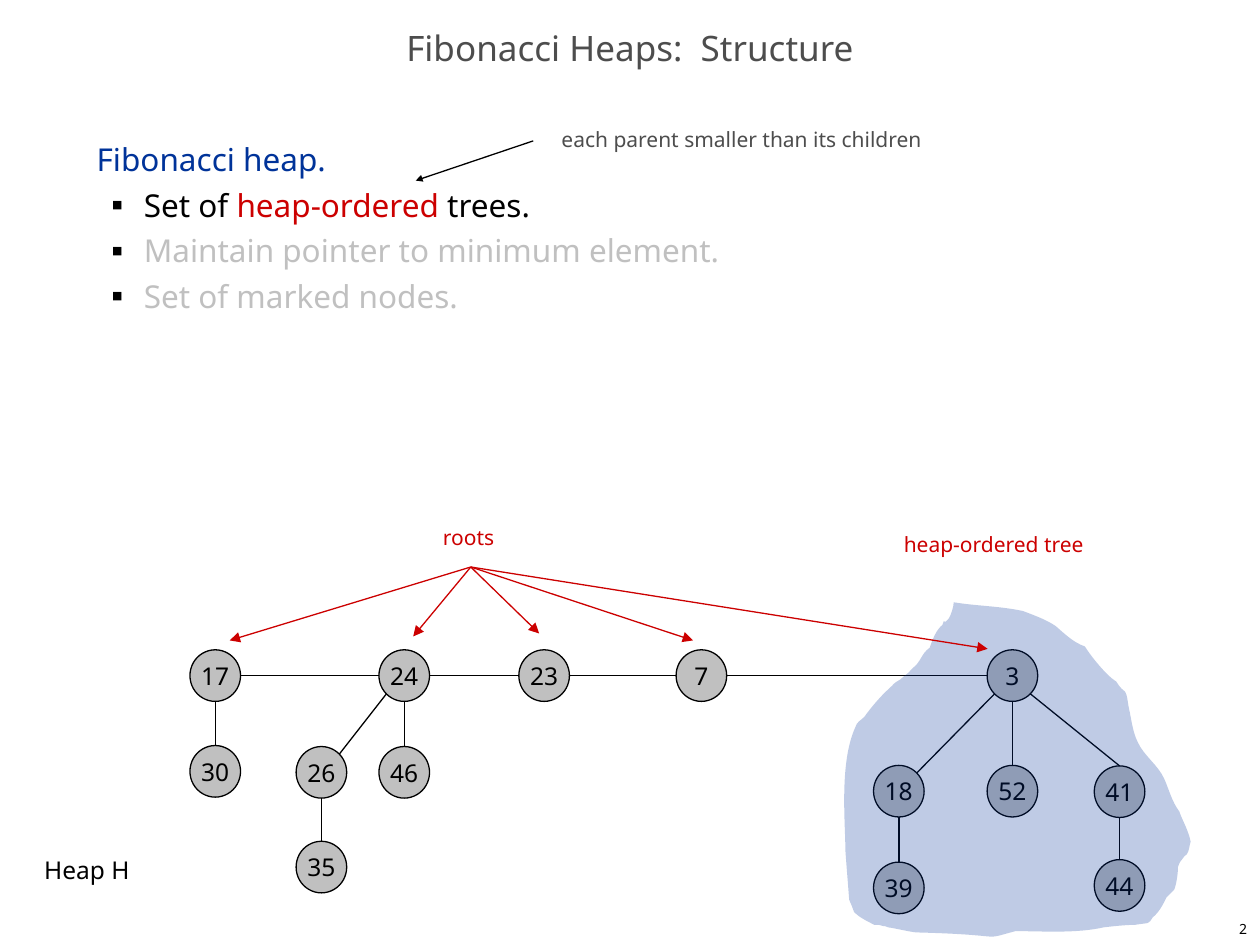
import pptx
import pptx.dml.color
import pptx.enum.shapes
import pptx.enum.text
import pptx.oxml
import pptx.oxml.ns
import pptx.util
from lxml import etree
from pptx.util import Cm, Pt

# Content; lengths in cm
FONT = "Noto Sans"
BLACK, GRAY, DARK, RED, BLUE = "000000", "C0C0C0", "4D4D4D", "CC0000", "003399"
TITLE = "Fibonacci Heaps:  Structure"
BODY = [
    [("Fibonacci heap.", BLUE)],
    [("Set of ", BLACK), ("heap-ordered", RED), (" trees.", BLACK)],
    [("Maintain pointer to minimum element.", GRAY)],
    [("Set of marked nodes.", GRAY)],
]
# text, left, top, width, height, size, colour
LABELS = [
    ("Heap H", 0.64, 17.11, 2.31, 0.84, 14, BLACK),
    ("roots", 8.68, 10.44, 1.78, 0.76, 12, RED),
    ("heap-ordered tree", 17.97, 10.59, 4.85, 0.76, 12, RED),
    ("each parent smaller than its children", 11.07, 2.42, 7.77, 0.76, 12, DARK),
]
NODE_WIDTH, NODE_HEIGHT = 1.02, 1.04
ROOT_TOP = 13.1
# key: left, top
NODES = {
    17: (3.83, ROOT_TOP), 24: (7.64, ROOT_TOP), 23: (10.46, ROOT_TOP),
    7: (13.63, ROOT_TOP), 3: (19.9, ROOT_TOP),
    30: (3.83, 15.03), 26: (5.97, 15.05), 46: (7.64, 15.05), 35: (5.97, 16.96),
    18: (17.61, 15.43), 52: (19.9, 15.43), 41: (22.06, 15.44),
    39: (17.61, 17.38), 44: (22.06, 17.33),
}
ROOTS = [17, 24, 23, 7, 3]
# parent, child, side of parent, side of child
EDGES = [
    (17, 30, "bottom", "top"), (24, 26, "bottom left", "top right"),
    (24, 46, "bottom", "top"), (26, 35, "bottom", "top"),
    (3, 18, "bottom left", "top right"), (3, 52, "bottom", "top"),
    (3, 41, "bottom right", "top"), (18, 39, "bottom", "top"),
    (41, 44, "bottom", "top"),
]
ROOTS_HUB = (9.49, 11.43)
ROOT_ARROWS = [(10.87, 12.77), (8.33, 12.83), (4.63, 12.91), (13.97, 12.91), (19.91, 13.08)]
NOTE_ARROW = ((10.75, 2.84), (8.38, 3.64))

# Highlighted region: start point, then two handles and an end for each curve
REGION_UNIT = Cm(0.0254)
REGION_START = (757, 478)
REGION_CURVES = [
    (775, 481, 794, 481, 812, 485), (820, 488, 831, 492, 838, 497),
    (845, 503, 852, 510, 861, 513), (866, 521, 878, 536, 886, 541),
    (887, 542, 887, 543, 888, 544), (889, 546, 891, 547, 893, 549),
    (895, 552, 895, 558, 896, 562), (898, 571, 899, 581, 903, 589),
    (908, 600, 919, 607, 924, 618), (928, 627, 930, 636, 936, 644),
    (938, 650, 941, 655, 943, 661), (944, 663, 945, 668, 945, 668),
    (944, 671, 944, 675, 942, 678), (941, 679, 939, 680, 939, 681),
    (937, 683, 936, 685, 935, 688), (935, 692, 934, 701, 932, 706),
    (931, 707, 930, 708, 929, 709), (928, 710, 927, 711, 926, 712),
    (923, 718, 920, 724, 915, 728), (911, 734, 913, 732, 901, 734),
    (892, 734, 876, 736, 876, 736), (854, 741, 827, 739, 806, 739),
    (776, 747, 805, 742, 727, 740), (719, 739, 712, 737, 705, 736),
    (703, 735, 702, 735, 701, 735), (699, 734, 697, 734, 694, 734),
    (688, 731, 682, 728, 678, 724), (675, 716, 676, 719, 674, 714),
    (673, 700, 672, 689, 671, 675), (671, 653, 666, 605, 679, 577),
    (680, 573, 683, 572, 686, 569), (691, 562, 697, 555, 703, 549),
    (713, 540, 707, 544, 715, 539), (717, 537, 721, 534, 721, 534),
    (724, 530, 728, 528, 730, 524), (733, 519, 734, 517, 738, 514),
    (740, 508, 743, 500, 748, 496), (751, 488, 747, 498, 753, 491),
    (755, 488, 757, 481, 757, 478),
]


def color(value):
    return pptx.dml.color.RGBColor.from_string(value)


def add_tag(parent, name, **values):
    return etree.SubElement(parent, pptx.oxml.ns.qn(name), **values)


def format_span(span, size, value):
    span.font.name = FONT
    span.font.size = Pt(size)
    span.font.color.rgb = color(value)


def add_label(slide, text, left, top, width, height, size, value):
    box = slide.shapes.add_textbox(Cm(left), Cm(top), Cm(width), Cm(height))
    box.text_frame.word_wrap = False
    para = box.text_frame.paragraphs[0]
    para.text = text
    format_span(para.runs[0], size, value)
    return box


def add_line(slide, start, end, value=BLACK, head=None):
    line = slide.shapes.add_connector(
        pptx.enum.shapes.MSO_CONNECTOR.STRAIGHT, *[Cm(n) for n in (*start, *end)])
    line.line.color.rgb = color(value)
    line.line.width = Pt(0.75)
    if head:
        add_tag(line.line._get_or_add_ln(), "a:tailEnd", type="triangle", w=head, len=head)
    add_tag(line._element.spPr, "a:effectLst")


def add_node(slide, key, left, top):
    node = slide.shapes.add_shape(pptx.enum.shapes.MSO_SHAPE.OVAL, Cm(left), Cm(top),
                                  Cm(NODE_WIDTH), Cm(NODE_HEIGHT))
    node.shadow.inherit = False
    node.fill.solid()
    node.fill.fore_color.rgb = color(GRAY)
    node.line.color.rgb = color(BLACK)
    node.line.width = Pt(0.75)
    frame = node.text_frame
    frame.word_wrap = False
    frame.vertical_anchor = pptx.enum.text.MSO_ANCHOR.MIDDLE
    para = frame.paragraphs[0]
    para.text = str(key)
    para.alignment = pptx.enum.text.PP_ALIGN.CENTER
    format_span(para.runs[0], 14, BLACK)


def node_point(key, side):
    """Point on a node's rim; two-word sides are at 45 degrees."""
    reach = 0.35 if " " in side else 0.5
    across = ("right" in side) - ("left" in side)
    down = ("bottom" in side) - ("top" in side)
    left, top = NODES[key]
    return (left + NODE_WIDTH * (0.5 + reach * across),
            top + NODE_HEIGHT * (0.5 + reach * down))


def add_region(slide):
    ends = [curve[4:] for curve in REGION_CURVES]
    builder = slide.shapes.build_freeform(*REGION_START, scale=REGION_UNIT)
    builder.add_line_segments(ends, close=True)
    region = builder.convert_to_shape()
    # Bend each straight segment into its curve
    left, top = min(x for x, _ in ends), min(y for _, y in ends)
    segments = list(region._element.spPr.iter(pptx.oxml.ns.qn("a:lnTo")))
    for segment, curve in zip(segments, REGION_CURVES):
        bend = etree.Element(pptx.oxml.ns.qn("a:cubicBezTo"))
        for x, y in zip(curve[::2], curve[1::2]):
            add_tag(bend, "a:pt", x=str(x - left), y=str(y - top))
        segment.getparent().replace(segment, bend)
    region.shadow.inherit = False
    region.line.fill.background()
    region.fill.solid()
    region.fill.fore_color.rgb = color(BLUE)
    tone = region._element.spPr.find(".//" + pptx.oxml.ns.qn("a:srgbClr"))
    add_tag(tone, "a:alpha", val="25000")


def add_title(slide):
    title = slide.shapes.title
    title.left, title.top, title.width, title.height = Cm(0), Cm(0.43), Cm(25.4), Cm(1.27)
    frame = title.text_frame
    frame.text = TITLE
    frame.auto_size = pptx.enum.text.MSO_AUTO_SIZE.NONE
    frame.vertical_anchor = pptx.enum.text.MSO_ANCHOR.MIDDLE
    para = frame.paragraphs[0]
    para.alignment = pptx.enum.text.PP_ALIGN.CENTER
    para.line_spacing = 0.7
    format_span(para.runs[0], 20, DARK)


def add_bullet(para):
    para.level = 1
    props = para._p.get_or_add_pPr()
    props.set("marL", str(Cm(0.95)))
    props.set("indent", str(-Cm(0.64)))
    add_tag(add_tag(props, "a:buClr"), "a:srgbClr", val=BLACK)
    add_tag(props, "a:buSzPct", val="35000")
    add_tag(props, "a:buFont", typeface=FONT)
    add_tag(props, "a:buChar", char="■")


def add_body(slide):
    box = slide.shapes.add_textbox(Cm(1.7), Cm(2.55), Cm(21.79), Cm(15.04))
    frame = box.text_frame
    frame.word_wrap = True
    for index, spans in enumerate(BODY):
        para = frame.add_paragraph() if index else frame.paragraphs[0]
        para.line_spacing = Pt(26)
        if index:
            add_bullet(para)
        for text, value in spans:
            span = para.add_run()
            span.text = text
            format_span(span, 18, value)


def main():
    deck = pptx.Presentation()
    deck.slide_width, deck.slide_height = Cm(25.4), Cm(19.05)
    slide = deck.slides.add_slide(deck.slide_layouts[5])
    add_title(slide)
    add_body(slide)

    # Heap
    for key, place in NODES.items():
        add_node(slide, key, *place)
    for first, second in zip(ROOTS, ROOTS[1:]):
        add_line(slide, node_point(first, "right"), node_point(second, "left"))
    for parent, child, start, end in EDGES:
        add_line(slide, node_point(parent, start), node_point(child, end))
    add_region(slide)

    # Labels and arrows
    for label in LABELS:
        add_label(slide, *label)
    for target in ROOT_ARROWS:
        add_line(slide, ROOTS_HUB, target, RED, "med")
    add_line(slide, *NOTE_ARROW, BLACK, "sm")

    # Slide number
    number = add_label(slide, "2", 20.11, 18.4, 5.28, 0.64, 8, BLACK)
    number.text_frame.word_wrap = True
    number.text_frame.vertical_anchor = pptx.enum.text.MSO_ANCHOR.MIDDLE
    number.text_frame.paragraphs[0].alignment = pptx.enum.text.PP_ALIGN.RIGHT
    deck.save("out.pptx")


if __name__ == "__main__":
    main()
